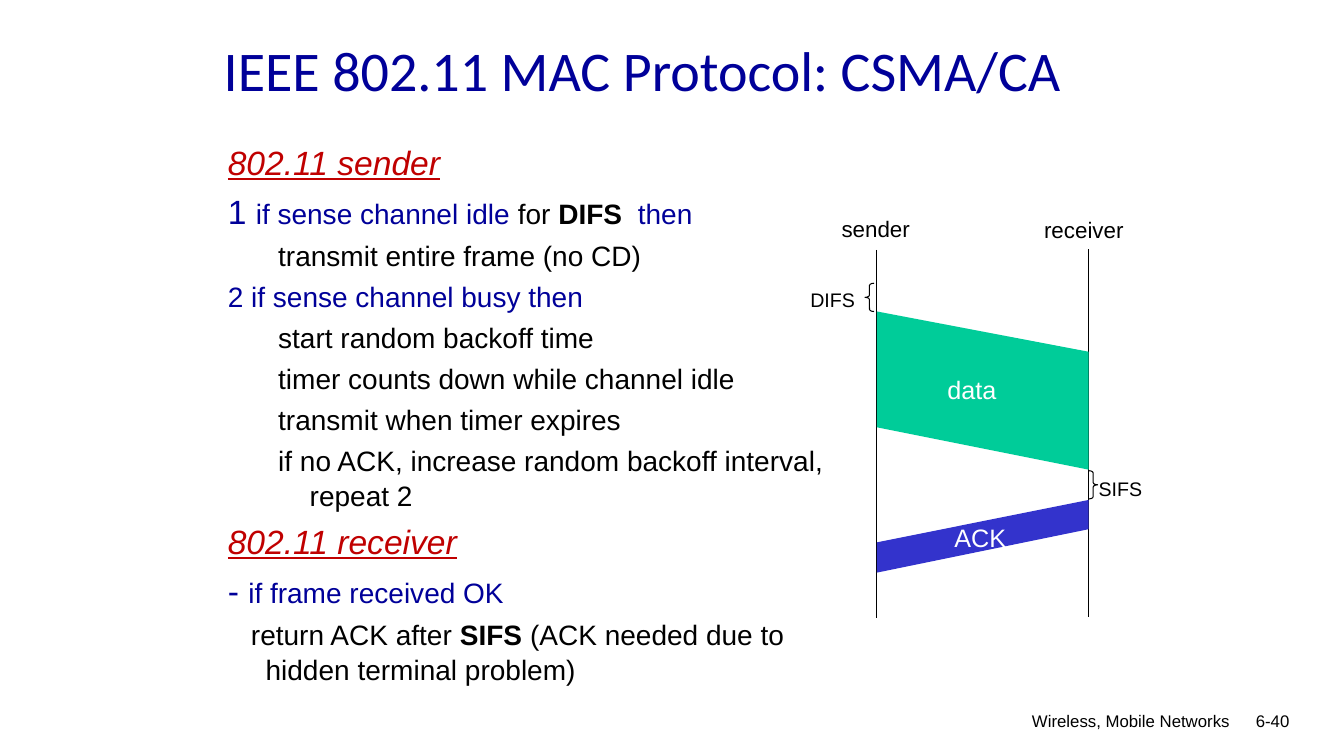
import pptx
import pptx.dml.color
import pptx.enum.shapes
import pptx.enum.text
import pptx.oxml.ns
import pptx.util
from lxml import etree

Pt = pptx.util.Pt
SHAPES = pptx.enum.shapes.MSO_SHAPE
ALIGN = pptx.enum.text.PP_ALIGN

# Content: text styles, then paragraphs as (left margin, first indent, runs)
BLACK, NAVY, RED, WHITE = "000000", "000099", "C00000", "FFFFFF"
HEADING = dict(size=24, color=RED, italic=True, underline=True)
MARK = dict(size=24, color=NAVY)
CONDITION = dict(size=20, color=NAVY)
PLAIN = dict(size=20, color=BLACK)
STRONG = dict(size=20, color=BLACK, bold=True)
OUTER, STEP, REPLY = (27, -27), (58.5, -22.5), (27, -10.5)

TITLE = "IEEE 802.11 MAC Protocol: CSMA/CA"
PROTOCOL = [
    (OUTER, [("802.11 sender", HEADING)]),
    (OUTER, [("1 ", MARK), ("if sense channel idle", CONDITION), (" for ", PLAIN),
             ("DIFS  ", STRONG), ("then", CONDITION)]),
    (STEP, [("transmit entire frame (no CD)", PLAIN)]),
    (OUTER, [("2 if sense channel busy then", CONDITION)]),
    (STEP, [("start random backoff time", PLAIN)]),
    (STEP, [("timer counts down while channel idle", PLAIN)]),
    (STEP, [("transmit when timer expires", PLAIN)]),
    (STEP, [("if no ACK, increase random backoff interval, repeat 2", PLAIN)]),
    (OUTER, [("802.11 receiver", HEADING)]),
    (OUTER, [("- ", MARK), ("if frame received OK", CONDITION)]),
    (REPLY, [("return ACK after ", PLAIN), ("SIFS ", STRONG),
             ("(ACK needed due to hidden terminal problem)", PLAIN)]),
]

# Timing diagram: x of the two time lines, then what happens between them
SENDER_X, RECEIVER_X = 626.4, 777.6
TIMELINES = [(SENDER_X, 178.5, 441.3), (RECEIVER_X, 178, 440.6)]
# (fill, sender start, sender end, receiver start, receiver end)
FRAMES = [("00CC99", 222.5, 305.3, 251.3, 335.5),
          ("3333CC", 387.4, 409, 357.1, 378)]
BRACES = [(SHAPES.LEFT_BRACE, 617.8, 202.3), (SHAPES.RIGHT_BRACE, RECEIVER_X, 336.2)]
# (text, left, top, width, height, size, color)
LABELS = [
    ("sender", 594, 150.5, 65.5, 26.6, 16, BLACK),
    ("receiver", 738.7, 151.2, 72, 26.6, 16, BLACK),
    ("DIFS", 571.7, 202.3, 46.8, 24.5, 14, BLACK),
    ("data", 669.6, 263.5, 49.7, 28.8, 18, WHITE),
    ("SIFS", RECEIVER_X, 337, 46, 24.5, 14, BLACK),
    ("ACK", 674.6, 369.4, 51.8, 28.8, 18, WHITE),
]
FOOTERS = [("Wireless, Mobile Networks", 480.2, 504, 405.4, 25.2),
           ("6-40", 856.8, 504, 71.3, 36)]


def rgb(hex_color):
    return pptx.dml.color.RGBColor.from_string(hex_color)


def place(shape, *box):
    for side, value in zip(("left", "top", "width", "height"), box):
        setattr(shape, side, Pt(value))


def add_run(paragraph, text, style, font="Arial"):
    run = paragraph.add_run()
    run.text = text
    run.font.name = font
    for attribute, value in style.items():
        if attribute == "size":
            run.font.size = Pt(value)
        elif attribute == "color":
            run.font.color.rgb = rgb(value)
        else:
            setattr(run.font, attribute, value)


def add_label(text, box, size, color, wrap=False, align=ALIGN.LEFT):
    label = slide.shapes.add_textbox(*(Pt(value) for value in box))
    label.text_frame.word_wrap = wrap
    paragraph = label.text_frame.paragraphs[0]
    paragraph.alignment = align
    add_run(paragraph, text, dict(size=size, color=color))


presentation = pptx.Presentation()
presentation.slide_width, presentation.slide_height = Pt(960), Pt(540)
slide = presentation.slides.add_slide(presentation.slide_layouts[1])
title, protocol = slide.placeholders

# Title
place(title, 152.6, 12.2, 647.3, 74.9)
title.text_frame.auto_size = pptx.enum.text.MSO_AUTO_SIZE.NONE
title.text_frame.paragraphs[0].alignment = ALIGN.LEFT
add_run(title.text_frame.paragraphs[0], TITLE, dict(size=40, color=NAVY), "Calibri")

# Sender and receiver rules
place(protocol, 155.5, 96.5, 443.5, 390.2)
rules = protocol.text_frame
rules.auto_size = pptx.enum.text.MSO_AUTO_SIZE.NONE
for number, ((margin, indent), runs) in enumerate(PROTOCOL):
    paragraph = rules.add_paragraph() if number else rules.paragraphs[0]
    paragraph.level = 1 if margin == STEP[0] else 0
    paragraph.line_spacing = 1.05
    properties = paragraph._p.get_or_add_pPr()
    properties.set("marL", str(Pt(margin)))
    properties.set("indent", str(Pt(indent)))
    etree.SubElement(properties, pptx.oxml.ns.qn("a:buNone"))
    for text, style in runs:
        add_run(paragraph, text, style)

# Time lines
for x, top, bottom in TIMELINES:
    timeline = slide.shapes.add_connector(
        pptx.enum.shapes.MSO_CONNECTOR.STRAIGHT, Pt(x), Pt(top), Pt(x), Pt(bottom))
    timeline.line.color.rgb = rgb(BLACK)
    timeline.line.width = Pt(0.75)
    etree.SubElement(timeline._element.spPr, pptx.oxml.ns.qn("a:effectLst"))

# Frames travelling between the time lines
for color, sent, sent_end, received, received_end in FRAMES:
    outline = slide.shapes.build_freeform(Pt(SENDER_X), Pt(sent))
    outline.add_line_segments([(Pt(RECEIVER_X), Pt(received)),
                               (Pt(RECEIVER_X), Pt(received_end)),
                               (Pt(SENDER_X), Pt(sent_end))], close=True)
    frame = outline.convert_to_shape()
    frame.shadow.inherit = False
    frame.fill.solid()
    frame.fill.fore_color.rgb = rgb(color)
    frame.line.fill.background()

# Waiting times
for kind, left, top in BRACES:
    brace = slide.shapes.add_shape(kind, Pt(left), Pt(top), Pt(6.5), Pt(20.2))
    brace.adjustments[0] = 0.25
    brace.shadow.inherit = False
    brace.fill.background()
    brace.line.color.rgb = rgb(BLACK)
    brace.line.width = Pt(0.75)

# Labels and footer
for text, *box, size, color in LABELS:
    add_label(text, box, size, color)
for text, *box in FOOTERS:
    add_label(text, box, 12, BLACK, wrap=True, align=ALIGN.RIGHT)

presentation.save("out.pptx")
